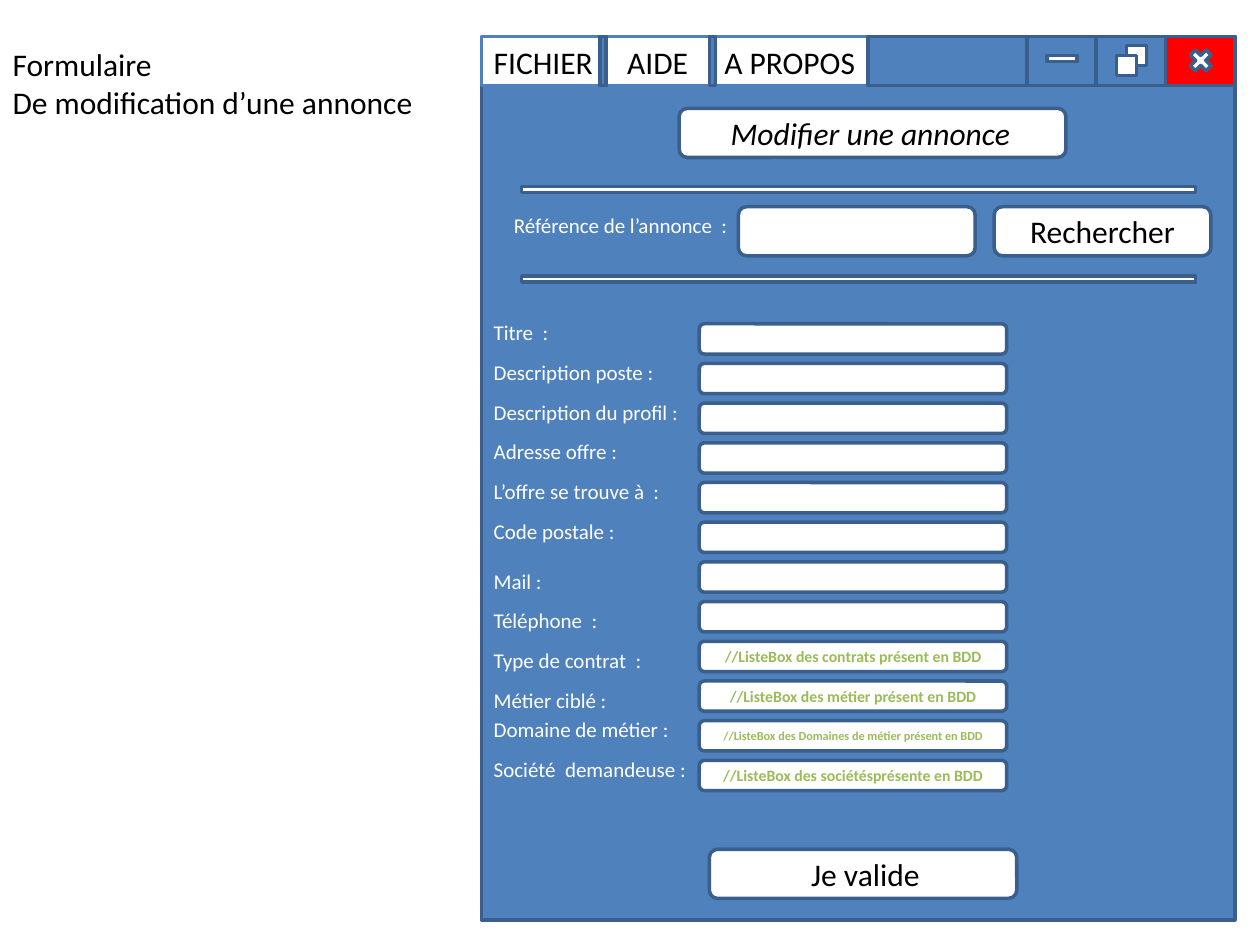
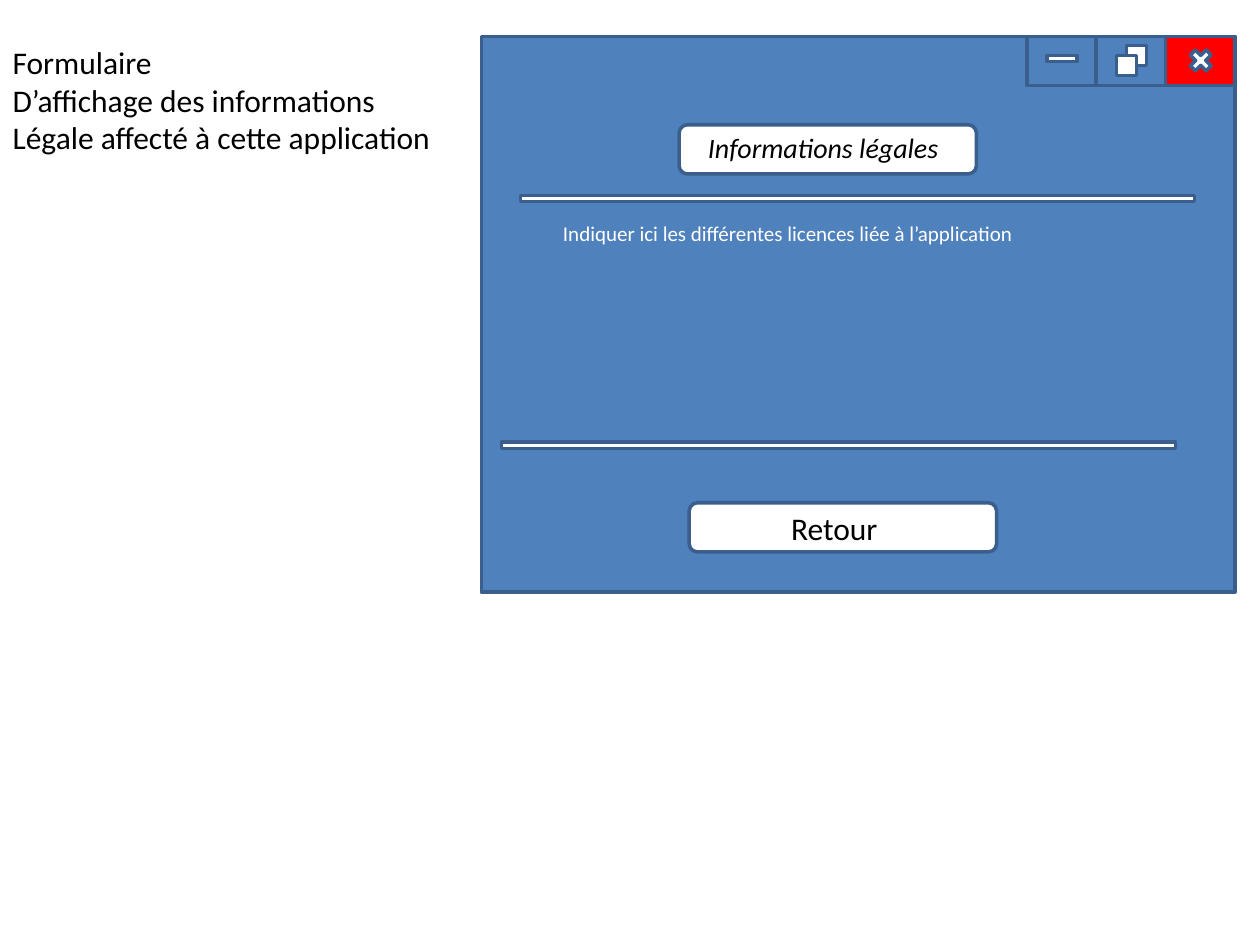
import pptx
import pptx.util
import pptx.dml.color
import pptx.enum.shapes
import pptx.enum.text

Inches = pptx.util.Inches
Pt = pptx.util.Pt
RGBColor = pptx.dml.color.RGBColor
MSO_SHAPE = pptx.enum.shapes.MSO_SHAPE
PP_ALIGN = pptx.enum.text.PP_ALIGN
MSO_ANCHOR = pptx.enum.text.MSO_ANCHOR

BLUE = RGBColor(0x4F, 0x81, 0xBD)
BORDER = RGBColor(0x3A, 0x5F, 0x8C)
RED = RGBColor(0xFF, 0x00, 0x00)
GREEN = RGBColor(0x9B, 0xBB, 0x59)
WHITE = RGBColor(0xFF, 0xFF, 0xFF)
BLACK = RGBColor(0x00, 0x00, 0x00)
FONT = "Calibri"

WINDOW_LEFT, WINDOW_TOP, WINDOW_WIDTH = 3.82, 0.29, 5.98
BAR_HEIGHT = 0.39
BUTTON_WIDTH = 0.55
ROW_STEP = 0.315
RULE_WIDTH, RULE_HEIGHT = 5.35, 0.05


def add_box(slide, left, top, width, height, fill=WHITE, line=BORDER,
            kind=MSO_SHAPE.RECTANGLE):
    box = slide.shapes.add_shape(kind, Inches(left), Inches(top), Inches(width), Inches(height))
    box.shadow.inherit = False
    box.fill.solid()
    box.fill.fore_color.rgb = fill
    box.line.color.rgb = line
    box.line.width = Pt(2)
    return box


def write(frame, text, size, color, bold=False, italic=False, align=PP_ALIGN.LEFT,
          anchor=MSO_ANCHOR.TOP):
    frame.text = text
    frame.word_wrap = True
    frame.auto_size = pptx.enum.text.MSO_AUTO_SIZE.NONE
    frame.vertical_anchor = anchor
    for paragraph in frame.paragraphs:
        paragraph.alignment = align
        paragraph.font.name = FONT
        paragraph.font.size = Pt(size)
        paragraph.font.bold = bold
        paragraph.font.italic = italic
        paragraph.font.color.rgb = color


deck = pptx.Presentation()
deck.slide_width = Inches(10)
deck.slide_height = Inches(7.5)

screens = [
    {
        "caption": "Formulaire\nDe modification d’une annonce",
        "caption_top": 0.31,
        "height": 7.01,
        "menu": [("FICHIER", 3.82), ("AIDE", 4.88), ("A PROPOS", 5.65)],
        "panels": [(5.39, 0.86, 3.07), (5.63, 6.74, 2.44), (5.86, 1.64, 1.88), (7.89, 1.64, 1.72)],
        "rules": [(4.14, 1.48), (4.14, 2.19)],
        "labels": [
            ("Modifier une annonce", 5.7, 0.86, 18, BLACK, True),
            ("Je valide", 6.34, 6.74, 18, BLACK, False),
            ("Référence de l’annonce  :", 3.98, 1.64, 12, WHITE, False),
        ],
    },
    {
        "caption": "Formulaire\nD’affichage des informations\nLégale affecté à cette application",
        "caption_top": 0.29,
        "height": 4.41,
        "menu": [],
        "panels": [(5.39, 0.99, 2.36), (5.47, 3.99, 2.44)],
        "rules": [(4.13, 1.55), (3.98, 3.51)],
        "labels": [
            ("Informations légales", 5.52, 0.99, 16, BLACK, True),
            ("Retour", 6.18, 3.99, 18, BLACK, False),
            ("Indiquer ici les différentes licences liée à l’application",
             4.37, 1.7, 12, WHITE, False),
        ],
    },
]

for screen in screens:
    slide = deck.slides.add_slide(deck.slide_layouts[5])
    caption = slide.shapes.title
    caption.left, caption.top = Inches(0), Inches(screen["caption_top"])
    caption.width, caption.height = Inches(3.75), Inches(1.01)
    write(caption.text_frame, screen["caption"], 18, BLACK)

    add_box(slide, WINDOW_LEFT, WINDOW_TOP, WINDOW_WIDTH, screen["height"], BLUE)
    if screen["menu"]:
        add_box(slide, WINDOW_LEFT, WINDOW_TOP, WINDOW_WIDTH, BAR_HEIGHT, WHITE, BLUE)
        for left, width in [(6.89, 1.26), (4.76, 0.05), (5.63, 0.05)]:
            add_box(slide, left, WINDOW_TOP, width, BAR_HEIGHT, BLUE)

    for position, color in enumerate([RED, BLUE, BLUE], start=1):
        left = WINDOW_LEFT + WINDOW_WIDTH - position * BUTTON_WIDTH
        add_box(slide, left, WINDOW_TOP, BUTTON_WIDTH, BAR_HEIGHT, color)
    add_box(slide, 8.31, 0.44, 0.24, 0.05)
    add_box(slide, 9.41, 0.36, 0.24, 0.24, kind=MSO_SHAPE.MATH_MULTIPLY)
    add_box(slide, 8.94, 0.36, 0.16, 0.16)
    add_box(slide, 8.86, 0.44, 0.16, 0.16)

    for left, top, width in screen["panels"]:
        panel = add_box(slide, left, top, width, BAR_HEIGHT, kind=MSO_SHAPE.ROUNDED_RECTANGLE)
    if screen["menu"]:
        write(panel.text_frame, "Rechercher", 18, BLACK,
              align=PP_ALIGN.CENTER, anchor=MSO_ANCHOR.MIDDLE)
    for left, top in screen["rules"]:
        add_box(slide, left, top, RULE_WIDTH, RULE_HEIGHT)

    menu_labels = [(name, left, WINDOW_TOP, 18, BLACK, False) for name, left in screen["menu"]]
    for text, left, top, size, color, italic in menu_labels + screen["labels"]:
        label = slide.shapes.add_textbox(Inches(left), Inches(top), Inches(3.9), Inches(0.4))
        write(label.text_frame, text, size, color, italic=italic)

form = deck.slides[0]

field_hints = {
    8: ("//ListeBox des contrats présent en BDD", 9),
    9: ("//ListeBox des métier présent en BDD", 9),
    10: ("//ListeBox des Domaines de métier présent en BDD", 7),
    11: ("//ListeBox des sociétésprésente en BDD", 9),
}
for row in range(12):
    field = add_box(form, 5.55, 2.57 + row * ROW_STEP, 2.44, 0.24,
                    kind=MSO_SHAPE.ROUNDED_RECTANGLE)
    if row in field_hints:
        hint, size = field_hints[row]
        write(field.text_frame, hint, size, GREEN, bold=True,
              align=PP_ALIGN.CENTER, anchor=MSO_ANCHOR.MIDDLE)

field_names = [
    (2.49, ["Titre  :", "Description poste :", "Description du profil :",
            "Adresse offre :", "L’offre se trouve à  :", "Code postale :"]),
    (4.46, ["Mail :", "Téléphone  :", "Type de contrat  :", "Métier ciblé :"]),
    (5.64, ["Domaine de métier :", "Société  demandeuse :"]),
]
for group_top, names in field_names:
    for row, name in enumerate(names):
        label = form.shapes.add_textbox(Inches(WINDOW_LEFT), Inches(group_top + row * ROW_STEP),
                                        Inches(1.8), Inches(0.3))
        write(label.text_frame, name, 12, WHITE)

deck.save("out.pptx")
